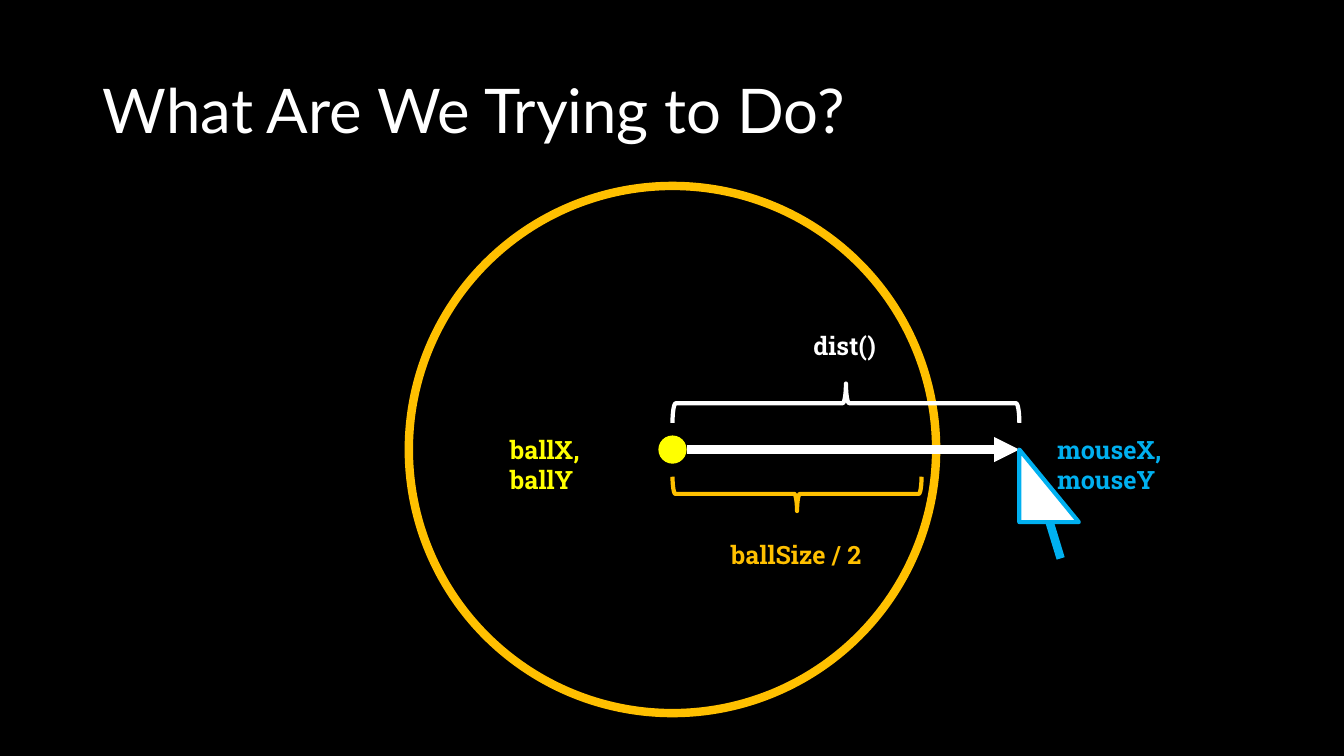
"""Build a slide showing how distance from a ball to the mouse is compared with its radius."""
import pptx
import pptx.dml.color
import pptx.enum.shapes
import pptx.enum.text
import pptx.oxml
import pptx.oxml.ns
import pptx.util

Inches = pptx.util.Inches
Pt = pptx.util.Pt
SHAPE = pptx.enum.shapes.MSO_SHAPE
ANCHOR = pptx.enum.text.MSO_ANCHOR
BLACK, WHITE, GOLD, YELLOW, BLUE = "000000", "FFFFFF", "FFC000", "FFFF00", "00B0F0"


def rgb(value):
    """Turn a hex string into a colour."""
    return pptx.dml.color.RGBColor.from_string(value)


class Diagram:
    """Hold the text style and the current slide."""

    title_font, label_font = "Lato", "Roboto Slab"
    title_size, label_size = 44, 18

    def __init__(self, s, background):
        """Paint the slide background."""
        self.s = s
        s.background.fill.solid()
        s.background.fill.fore_color.rgb = rgb(background)

    def set_text(self, tf, text, font, size, color, bold=False):
        """Set one uniformly styled paragraph."""
        tf.text = text
        p = tf.paragraphs[0]
        p.alignment = pptx.enum.text.PP_ALIGN.LEFT
        p.font.name, p.font.size, p.font.bold = font, Pt(size), bold
        p.font.color.rgb = rgb(color)
        return p

    def title(self, text, x, y, w, h):
        """Place and fill the title placeholder."""
        sp = self.s.shapes.title
        sp.left, sp.top, sp.width, sp.height = map(Inches, (x, y, w, h))
        sp.text_frame.vertical_anchor = ANCHOR.MIDDLE
        p = self.set_text(sp.text_frame, text, self.title_font, self.title_size, WHITE)
        p.line_spacing = 0.9

    def label(self, text, x, y, w, color, wrap=False):
        """Add a bold label."""
        sp = self.s.shapes.add_textbox(*map(Inches, (x, y, w, 0.4)))
        tf = sp.text_frame
        tf.word_wrap = wrap
        self.set_text(tf, text, self.label_font, self.label_size, color, bold=True)

    def shape(self, kind, x, y, w, h, fill=None, line=None, weight=3):
        """Add a preset shape with optional fill and outline."""
        sp = self.s.shapes.add_shape(kind, *map(Inches, (x, y, w, h)))
        sp.shadow.inherit = False
        for part, color in ((sp.fill, fill), (sp.line.fill, line)):
            if color:
                part.solid()
                part.fore_color.rgb = rgb(color)
            else:
                part.background()
        if line:
            sp.line.width = Pt(weight)
        return sp

    def circle(self, cx, cy, d, **style):
        """Add a circle around a centre."""
        self.shape(SHAPE.OVAL, cx - d / 2, cy - d / 2, d, d, **style)

    def brace(self, kind, x1, x2, cy, depth, color):
        """Add a horizontal brace spanning two positions."""
        span = x2 - x1
        sp = self.shape(kind, (x1 + x2 - depth) / 2, cy - span / 2, depth, span, line=color)
        sp.rotation = 90

    def line(self, x1, y1, x2, y2, color, arrow=False):
        """Add a thick straight line, with an arrowhead if asked."""
        sp = self.s.shapes.add_connector(
            pptx.enum.shapes.MSO_CONNECTOR.STRAIGHT, *map(Inches, (x1, y1, x2, y2)))
        sp.line.color.rgb = rgb(color)
        sp.line.width = Pt(6)
        pr = sp._element.spPr
        ns = pptx.oxml.ns.nsdecls("a")
        if arrow:
            pr.get_or_add_ln().append(pptx.oxml.parse_xml(f'<a:tailEnd {ns} type="triangle"/>'))
        pr.append(pptx.oxml.parse_xml(f'<a:effectLst {ns}/>'))


prs = pptx.Presentation()
prs.slide_width, prs.slide_height = Inches(13.33), Inches(7.5)
d = Diagram(prs.slides.add_slide(prs.slide_layouts[5]), BLACK)

ball_x, ball_y = 6.67, 4.46
mouse_x, mouse_y = 10.11, ball_y
dot, cursor_w, cursor_h = 0.28, 0.59, 0.72
stem_x, stem_y = mouse_x + 0.3, mouse_y + cursor_h

d.title("What Are We Trying to Do?", 0.92, 0.4, 11.5, 1.45)
d.circle(ball_x, ball_y, 5.23, line=GOLD, weight=6)
d.circle(ball_x, ball_y, dot, fill=YELLOW)
d.line(ball_x + dot / 2, ball_y, mouse_x, mouse_y, WHITE, arrow=True)
d.shape(SHAPE.RIGHT_TRIANGLE, mouse_x, mouse_y, cursor_w, cursor_h, fill=WHITE, line=BLUE)
d.line(stem_x, stem_y, stem_x + 0.11, stem_y + 0.36, BLUE)
d.brace(SHAPE.LEFT_BRACE, ball_x, mouse_x, 4.0, 0.39, WHITE)
d.brace(SHAPE.RIGHT_BRACE, ball_x, 9.14, 4.9, 0.34, GOLD)
d.label("dist()", 7.97, 3.23, 0.83, WHITE)
d.label("ballSize / 2", 7.15, 5.3, 1.52, GOLD)
d.label("ballX, ballY", 4.96, 4.26, 1.5, YELLOW, wrap=True)
d.label("mouseX, mouseY", 10.39, 4.26, 2.2, BLUE, wrap=True)

prs.save("out.pptx")
